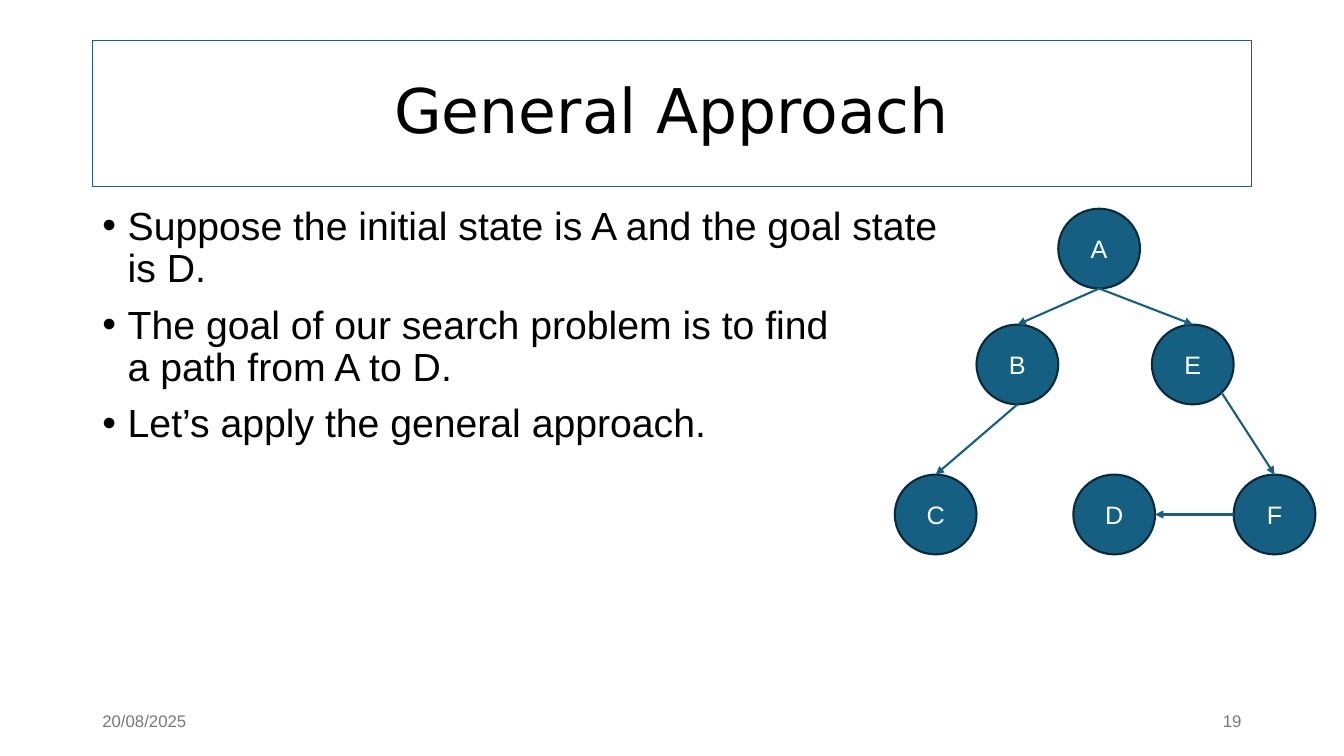
from lxml import etree
from pptx import Presentation
from pptx.dml.color import RGBColor
from pptx.enum.shapes import MSO_CONNECTOR, MSO_SHAPE
from pptx.enum.text import MSO_ANCHOR, PP_ALIGN
from pptx.oxml.ns import qn
from pptx.util import Cm, Pt

STRAIGHT = MSO_CONNECTOR.STRAIGHT
RECTANGLE, ELLIPSE = MSO_SHAPE.RECTANGLE, MSO_SHAPE.OVAL
MIDDLE, TOP = MSO_ANCHOR.MIDDLE, MSO_ANCHOR.TOP
LEFT, CENTER, RIGHT = PP_ALIGN.LEFT, PP_ALIGN.CENTER, PP_ALIGN.RIGHT

COLORS = {"teal": "156082", "rim": "092A39", "text": "000000",
          "label": "FFFFFF", "footer": "797979"}
MARGIN, CONTENT_WIDTH = 2.33, 29.21
NODE_WIDTH, NODE_HEIGHT = 2.06, 2.01
NODES = {"A": (26.67, 5.26), "B": (24.61, 8.18), "E": (29.03, 8.18),
         "C": (22.55, 11.96), "D": (27.05, 11.96), "F": (31.09, 11.96)}
SIDES = {"top": (0.5, 0), "bottom": (0.5, 1), "left": (0, 0.5),
         "right": (1, 0.5), "lower right": (0.85, 0.85)}
EDGES = [("A", "bottom", "B", "top"), ("B", "bottom", "C", "top"),
         ("F", "left", "D", "right"), ("A", "bottom", "E", "top"),
         ("E", "lower right", "F", "top")]
BULLETS = [("Suppose the initial state is A and the goal state", "is D."),
           ("The goal of our search problem is to find", "a path from A to D."),
           ("Let’s apply the general approach.",)]


def color(name):
    """Return the named colour."""
    return RGBColor.from_string(COLORS[name])


def add_run(paragraph, text, size, ink, font="Arial"):
    """Add one styled run."""
    run = paragraph.add_run()
    run.text = text
    run.font.size, run.font.name = Pt(size), font
    run.font.color.rgb = color(ink)


def add_outlined(slide, kind, box, rim, weight):
    """Add a shadowless preset shape with an outline and centred text."""
    shape = slide.shapes.add_shape(kind, *map(Cm, box))
    shape.shadow.inherit = False
    shape.line.color.rgb = color(rim)
    shape.line.width = Pt(weight)
    shape.text_frame.vertical_anchor = MIDDLE
    shape.text_frame.paragraphs[0].alignment = CENTER
    return shape


def add_title(slide, text):
    """Add the framed title."""
    frame = add_outlined(slide, RECTANGLE, (MARGIN, 1.02, CONTENT_WIDTH, 3.68), "teal", 0.75)
    frame.fill.background()
    heading = frame.text_frame.paragraphs[0]
    heading.line_spacing = 0.9
    add_run(heading, text, 44, "text", "DejaVu Sans")


def add_text_area(slide, box, anchor):
    """Add a wrapping text box and return its text frame."""
    area = slide.shapes.add_textbox(*map(Cm, box)).text_frame
    area.word_wrap = True
    area.vertical_anchor = anchor
    return area


def add_bullets(slide, items):
    """Add the bulleted body, with each item split into its lines."""
    body = add_text_area(slide, (MARGIN, 5.08, CONTENT_WIDTH, 12.09), TOP)
    for index, lines in enumerate(items):
        item = body.add_paragraph() if index else body.paragraphs[0]
        item.line_spacing = 0.9
        item.space_before = Pt(10 if index else 0)
        properties = item._p.get_or_add_pPr()
        properties.set("marL", str(Cm(0.64)))
        properties.set("indent", str(-Cm(0.64)))
        etree.SubElement(properties, qn("a:buFont"), typeface="Arial")
        etree.SubElement(properties, qn("a:buChar"), char="•")
        for position, line in enumerate(lines):
            if position:
                item.add_line_break()
            add_run(item, line, 28, "text")


def add_node(slide, state):
    """Add the circle of one state."""
    node = add_outlined(slide, ELLIPSE, (*NODES[state], NODE_WIDTH, NODE_HEIGHT), "rim", 1.5)
    node.fill.solid()
    node.fill.fore_color.rgb = color("teal")
    add_run(node.text_frame.paragraphs[0], state, 18, "label")


def side_point(state, side):
    """Return the point on the given side of a state's circle."""
    left, top = NODES[state]
    across, down = SIDES[side]
    return Cm(left + across * NODE_WIDTH), Cm(top + down * NODE_HEIGHT)


def add_edge(slide, source, source_side, target, target_side):
    """Add an arrow between two states."""
    edge = slide.shapes.add_connector(
        STRAIGHT, *side_point(source, source_side), *side_point(target, target_side))
    edge.line.color.rgb = color("teal")
    edge.line.width = Pt(1.5)
    etree.SubElement(edge.line._get_or_add_ln(), qn("a:tailEnd"), type="triangle")
    etree.SubElement(edge._element.spPr, qn("a:effectLst"))


def add_footer(slide, text, left, width, alignment):
    """Add a small grey footer text."""
    footer = add_text_area(slide, (left, 17.65, width, 1.01), MIDDLE).paragraphs[0]
    footer.alignment = alignment
    add_run(footer, text, 12, "footer")


def main():
    """Build and save the slide."""
    deck = Presentation()
    deck.slide_width, deck.slide_height = Cm(33.87), Cm(19.05)
    slide = deck.slides.add_slide(deck.slide_layouts[6])
    add_title(slide, "General Approach")
    add_bullets(slide, BULLETS)
    for state in NODES:
        add_node(slide, state)
    for edge in EDGES:
        add_edge(slide, *edge)
    footer_width = 7.62
    add_footer(slide, "20/08/2025", MARGIN, footer_width, LEFT)
    add_footer(slide, "19", MARGIN + CONTENT_WIDTH - footer_width, footer_width, RIGHT)
    deck.save("out.pptx")


if __name__ == "__main__":
    main()
